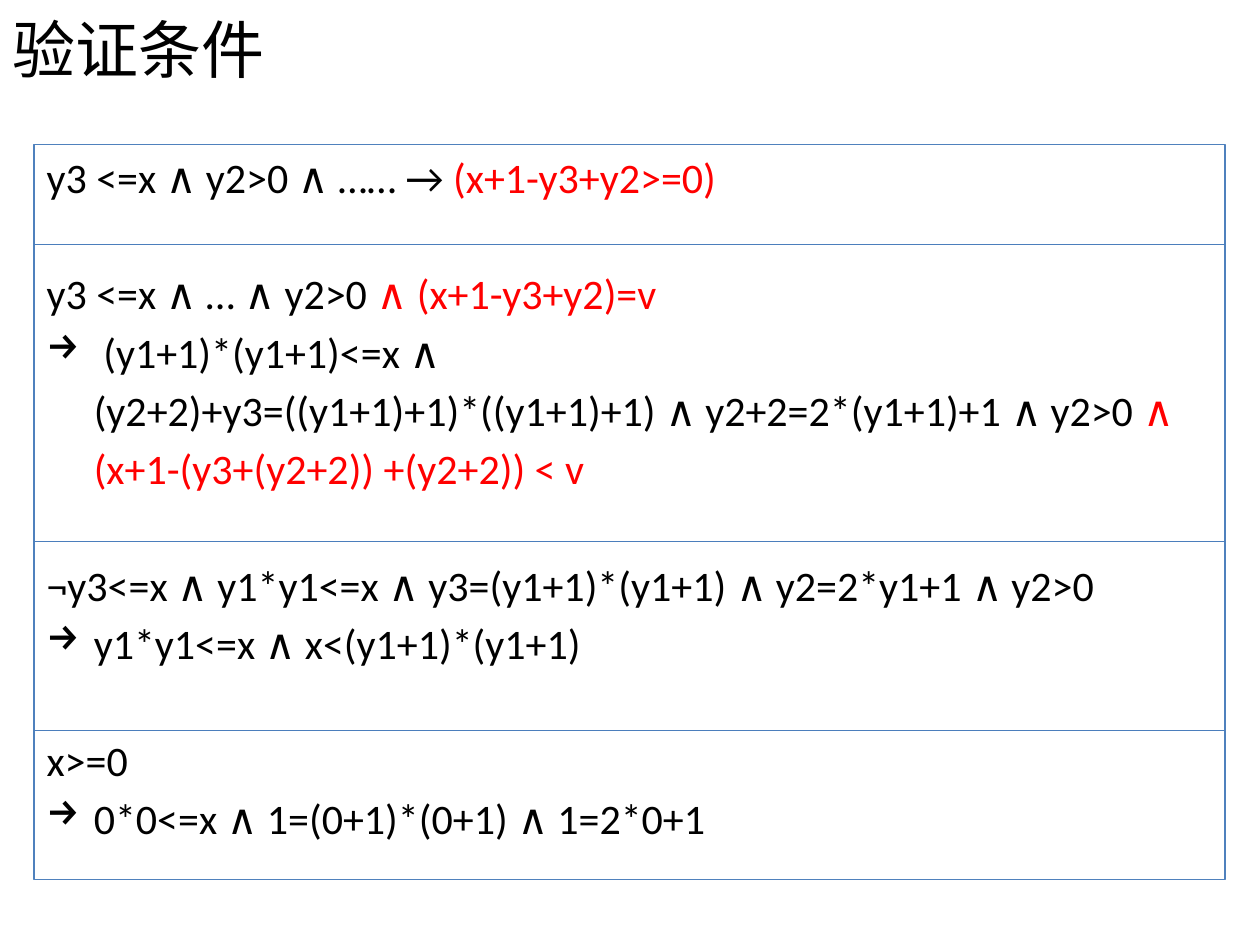
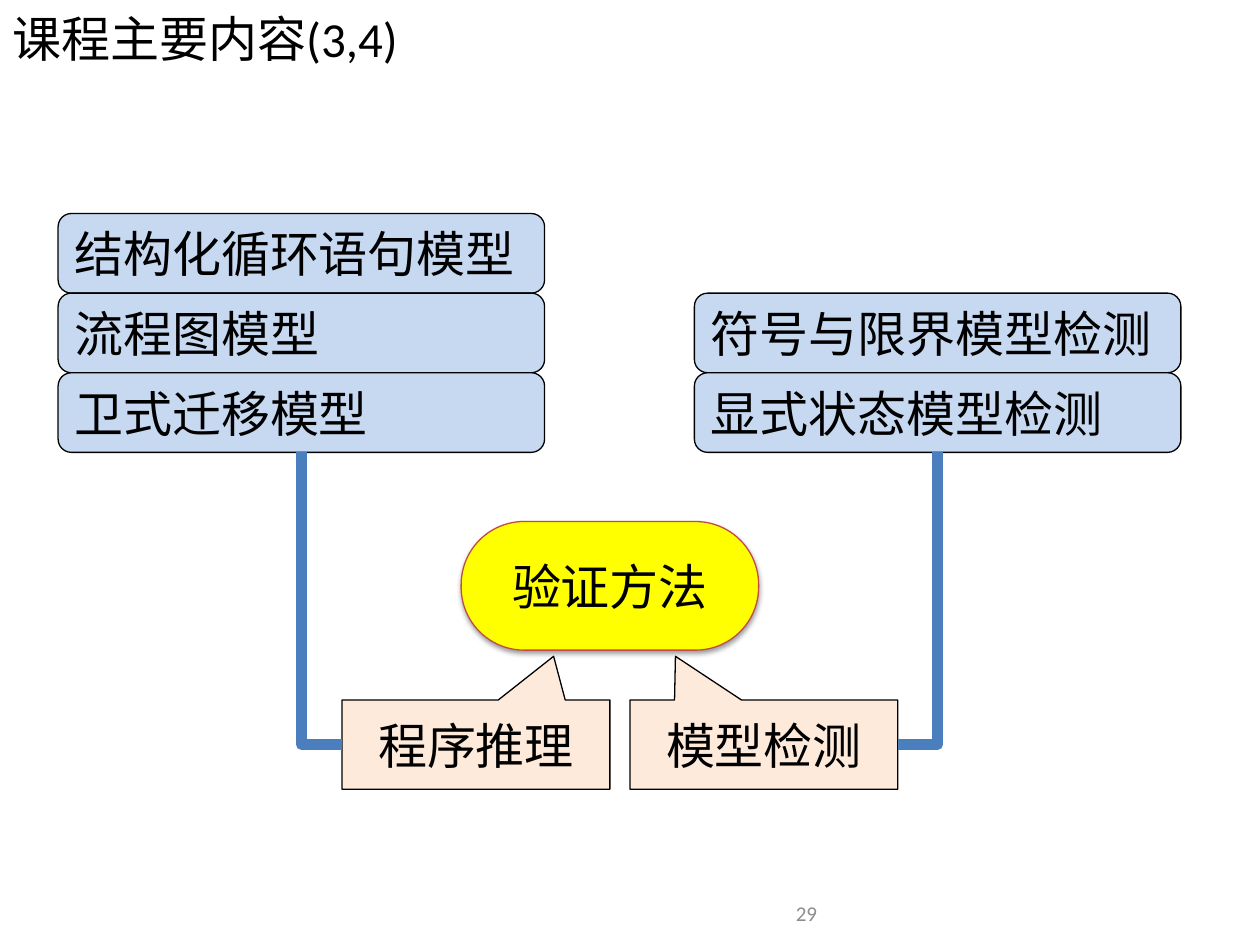
from lxml import etree
from pptx import Presentation
from pptx.dml.color import RGBColor
from pptx.enum.shapes import MSO_CONNECTOR as Link, MSO_SHAPE as Shape
from pptx.enum.text import MSO_ANCHOR as Anchor, PP_ALIGN as Align
from pptx.oxml import parse_xml
from pptx.oxml.ns import nsdecls, qn
from pptx.util import Pt

BLACK = RGBColor(0x00, 0x00, 0x00)
RED = RGBColor(0xFF, 0x00, 0x00)
GREY = RGBColor(0x8C, 0x8C, 0x8C)
YELLOW = RGBColor(0xFF, 0xFF, 0x00)
PEACH = RGBColor(0xFD, 0xEA, 0xDA)
PALE_BLUE = RGBColor(0xC6, 0xD9, 0xF1)
FRAME_BLUE = RGBColor(0x4F, 0x81, 0xBD)
LINE_BLUE = RGBColor(0x4B, 0x7E, 0xBC)
BRICK = RGBColor(0xBF, 0x4C, 0x48)

FONT = "Calibri"
INDENT = 27
LINE_GAP, GROUP_GAP = 4.4, 38
BULLET, INNER, PLAIN = "bullet", "inner", "plain"

# Each group holds lines; each line is a kind and its (text, colour) spans.
CONDITIONS = [
    [(PLAIN, [("y3 <=x ∧ y2>0 ∧ …… → ", BLACK), ("(x+1-y3+y2>=0)", RED)])],
    [
        (PLAIN, [("y3 <=x ∧ … ∧ y2>0 ", BLACK), ("∧ (x+1-y3+y2)=v", RED)]),
        (BULLET, [(" (y1+1)*(y1+1)<=x ∧", BLACK)]),
        (INNER, [("(y2+2)+y3=((y1+1)+1)*((y1+1)+1) ∧ y2+2=2*(y1+1)+1 ∧ y2>0 ", BLACK),
                 ("∧", RED)]),
        (INNER, [("(x+1-(y3+(y2+2)) +(y2+2)) < v", RED)]),
    ],
    [
        (PLAIN, [("¬y3<=x ∧ y1*y1<=x ∧ y3=(y1+1)*(y1+1) ∧ y2=2*y1+1 ∧ y2>0", BLACK)]),
        (BULLET, [("y1*y1<=x ∧ x<(y1+1)*(y1+1)", BLACK)]),
    ],
    [
        (PLAIN, [("x>=0", BLACK)]),
        (BULLET, [("0*0<=x ∧ 1=(0+1)*(0+1) ∧ 1=2*0+1", BLACK)]),
    ],
]


def place(left, top, width, height):
    return [Pt(value) for value in (left, top, width, height)]


def add_span(para, text, size, color=BLACK):
    span = para.add_run()
    span.text = text
    for name, value in {"name": FONT, "size": Pt(size)}.items():
        setattr(span.font, name, value)
    span.font.color.rgb = color


def write(box, text, size, color=BLACK, align=Align.LEFT, anchor=Anchor.MIDDLE):
    frame = box.text_frame
    for name, value in {"word_wrap": True, "vertical_anchor": anchor}.items():
        setattr(frame, name, value)
    para = frame.paragraphs[0]
    para.alignment = align
    add_span(para, text, size, color)


def add_titled_page(deck, text, size, width, height):
    page = deck.slides.add_slide(deck.slide_layouts[5])
    title = page.shapes.title
    bounds = {"left": 0, "top": 0, "width": Pt(width), "height": Pt(height)}
    for name, value in bounds.items():
        setattr(title, name, value)
    write(title, text, size)
    return page


def add_box(page, kind, bounds, fill=None, line=BLACK):
    box = page.shapes.add_shape(kind, *place(*bounds))
    box.shadow.inherit = False
    if fill is None:
        box.fill.background()
    else:
        box.fill.solid()
        box.fill.fore_color.rgb = fill
    box.line.color.rgb = line
    box.line.width = Pt(0.75)
    return box


def add_line(page, kind, start, end, width):
    line = page.shapes.add_connector(kind, *(Pt(value) for value in (*start, *end)))
    line.line.color.rgb = LINE_BLUE
    line.line.width = Pt(width)
    etree.SubElement(line._element.spPr, qn("a:effectLst"))
    return line


def add_corner(page, callout, side, stack_base):
    """Join a side of the callout to the bottom of a stack with one right angle."""
    corner = add_line(page, Link.ELBOW, (0, 0), (1, 1), 6)
    corner.begin_connect(callout, side)
    corner.end_connect(stack_base, 2)
    corner._element.spPr.find(qn("a:prstGeom")).set("prst", "bentConnector2")


def add_soft_shadow(box):
    effects = box._element.spPr.find(qn("a:effectLst"))
    effects.append(parse_xml(
        f'<a:outerShdw {nsdecls("a")} blurRad="{Pt(3.1)}" dist="{Pt(1.6)}" dir="5400000" '
        'rotWithShape="0"><a:srgbClr val="000000"><a:alpha val="38000"/></a:srgbClr>'
        '</a:outerShdw>'))


def format_condition(para, kind, gap):
    para.alignment = Align.LEFT
    para.space_before = Pt(gap)
    if kind == PLAIN:
        return
    properties = para._p.get_or_add_pPr()
    properties.set("marL", str(Pt(INDENT)))
    if kind == BULLET:
        properties.set("indent", str(-Pt(INDENT)))
        etree.SubElement(properties, qn("a:buChar")).set("char", "→")


def add_conditions(page, bounds, dividers):
    left, _, width, _ = bounds
    box = add_box(page, Shape.RECTANGLE, bounds, line=FRAME_BLUE)
    frame = box.text_frame
    frame.word_wrap = True
    frame.vertical_anchor = Anchor.TOP
    para = frame.paragraphs[0]
    for group_index, group in enumerate(CONDITIONS):
        for line_index, (kind, spans) in enumerate(group):
            first = group_index == line_index == 0
            if not first:
                para = frame.add_paragraph()
            gap = 0 if first else LINE_GAP if line_index else GROUP_GAP
            format_condition(para, kind, gap)
            for text, color in spans:
                add_span(para, text, 24, color)
    for y in dividers:
        add_line(page, Link.STRAIGHT, (left, y), (left + width, y), 0.75)


def add_stack(page, left, bottom, labels):
    """Pile labelled boxes so that the last one ends at bottom; return the last."""
    width, height = 278, 45.5
    for row, label in enumerate(labels):
        top = bottom - (len(labels) - row) * height
        box = add_box(page, Shape.FLOWCHART_ALTERNATE_PROCESS,
                      (left, top, width, height), PALE_BLUE)
        write(box, label, 28)
    return box


def add_callout(page, left, label, tip):
    box = add_box(page, Shape.RECTANGULAR_CALLOUT, (left, 400, 153, 51), PEACH)
    box.adjustments[0], box.adjustments[1] = tip, -0.99
    write(box, label, 28, align=Align.CENTER)
    return box


def add_page_number(page, number):
    box = page.shapes.add_textbox(*place(246, 500.4, 228, 28.8))
    write(box, number, 12, GREY, Align.RIGHT, Anchor.BOTTOM)
    box.text_frame.margin_bottom = 0


def build_conditions_page(deck):
    page = add_titled_page(deck, "验证条件", 36, 720, 55)
    add_conditions(page, (19.5, 82.8, 680.5, 419.8), (139.7, 309.6, 417.5))


def build_methods_page(deck):
    page = add_titled_page(deck, "课程主要内容(3,4)", 28, 685, 43)
    add_page_number(page, "29")
    method = add_box(page, Shape.ROUNDED_RECTANGLE, (263.5, 298, 170, 73.5), YELLOW, BRICK)
    method.adjustments[0] = 0.49
    add_soft_shadow(method)
    write(method, "验证方法", 28, align=Align.CENTER)
    reasoning = add_callout(page, 195.5, "程序推理", 0.29)
    checking = add_callout(page, 360, "模型检测", -0.33)
    models = add_stack(page, 33.2, 258.5,
                       ["结构化循环语句模型", "流程图模型", "卫式迁移模型"])
    checkers = add_stack(page, 396.8, 258.5, ["符号与限界模型检测", "显式状态模型检测"])
    add_corner(page, reasoning, 1, models)
    add_corner(page, checking, 3, checkers)


def main():
    deck = Presentation()
    deck.slide_width, deck.slide_height = Pt(720), Pt(540)
    build_conditions_page(deck)
    build_methods_page(deck)
    deck.save("out.pptx")


if __name__ == "__main__":
    main()
